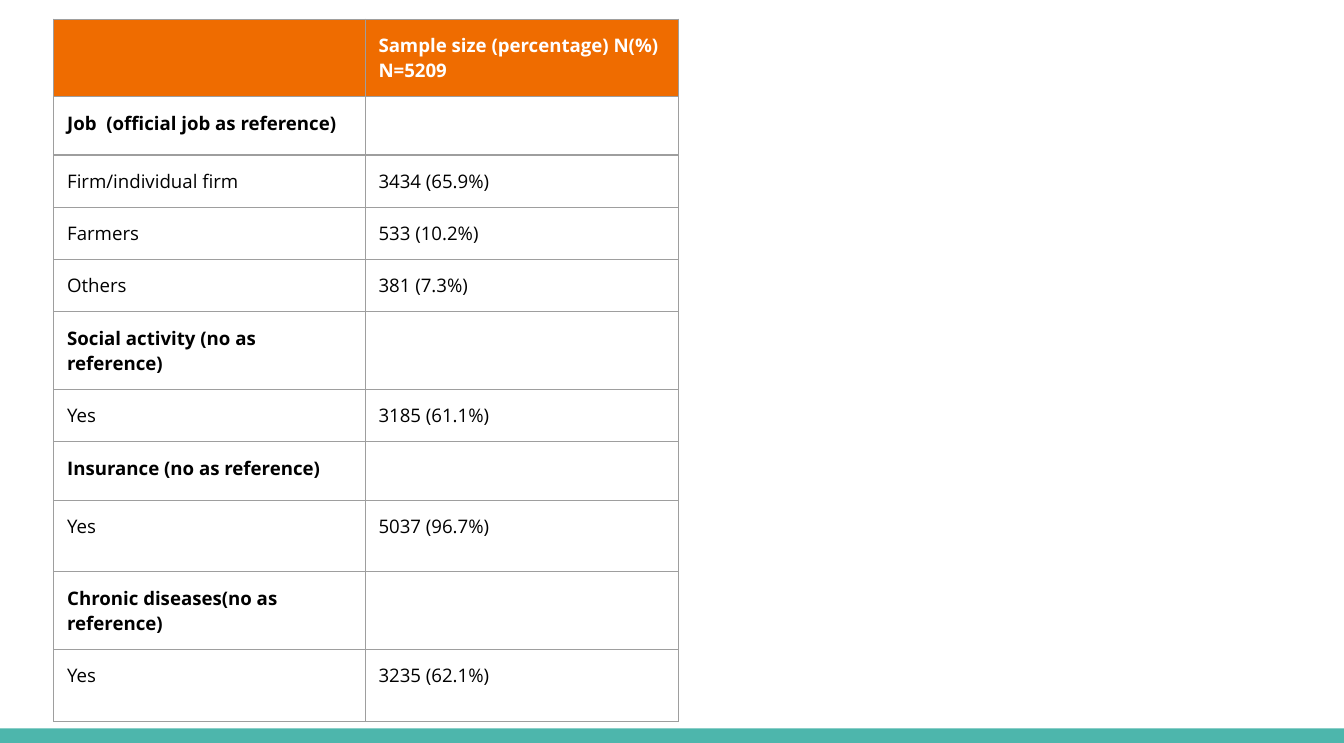
from lxml.etree import SubElement
from pptx import Presentation
from pptx.dml.color import RGBColor
from pptx.enum.shapes import MSO_SHAPE
from pptx.oxml.ns import qn
from pptx.util import Inches, Pt

ORANGE, TEAL, GREY, BLACK, WHITE = "EF6C00", "4DB6AC", "9E9E9E", "000000", "FFFFFF"
HEADER = ("", "Sample size (percentage) N(%)\nN=5209")
# label, value, row height; a row without a value is a section heading
ROWS = [
    ("Job  (official job as reference)", "", 0.52),
    ("Firm/individual firm", "3434 (65.9%)", 0.46),
    ("Farmers", "533 (10.2%)", 0.46),
    ("Others", "381 (7.3%)", 0.46),
    ("Social activity (no as reference)", "", 0.69),
    ("Yes", "3185 (61.1%)", 0.46),
    ("Insurance (no as reference)", "", 0.52),
    ("Yes", "5037 (96.7%)", 0.64),
    ("Chronic diseases(no as reference)", "", 0.69),
    ("Yes", "3235 (62.1%)", 0.64),
]
HEADER_HEIGHT = 0.69
COL_WIDTHS = (2.78, 2.8)


def rgb(color):
    return RGBColor.from_string(color)


def add_borders(cell, color=GREY, width=0.75):
    """Outline the cell; must run before its fill is set, as lines come first."""
    tcPr = cell._tc.get_or_add_tcPr()
    for side in ("lnL", "lnR", "lnT", "lnB"):
        ln = SubElement(tcPr, qn(f"a:{side}"), w=str(Pt(width)))
        SubElement(SubElement(ln, qn("a:solidFill")), qn("a:srgbClr"), val=color)


def write(cell, text, size=12, color=BLACK, bold=False, inset=0.12):
    cell.margin_left = cell.margin_right = Inches(inset)
    cell.margin_top = cell.margin_bottom = Inches(inset)
    tf = cell.text_frame
    for i, line in enumerate(text.split("\n")):
        p = tf.add_paragraph() if i else tf.paragraphs[0]
        r = p.add_run()
        r.text = line
        r.font.name, r.font.size, r.font.bold = "Open Sans", Pt(size), bold
        r.font.color.rgb = rgb(color)


def format_cell(cell, text, fill=None, **text_format):
    add_borders(cell)
    if fill:
        cell.fill.solid()
        cell.fill.fore_color.rgb = rgb(fill)
    else:
        cell.fill.background()
    if text:
        write(cell, text, **text_format)


prs = Presentation()
prs.slide_width, prs.slide_height = Inches(12), Inches(6.63)
s = prs.slides.add_slide(prs.slide_layouts[6])

bar = s.shapes.add_shape(MSO_SHAPE.RECTANGLE, 0, Inches(6.5), prs.slide_width, Inches(0.13))
bar.shadow.inherit = False
bar.fill.solid()
bar.fill.fore_color.rgb = rgb(TEAL)
bar.line.fill.background()

heights = [HEADER_HEIGHT] + [height for _, _, height in ROWS]
table = s.shapes.add_table(len(heights), len(COL_WIDTHS), Inches(0.48), Inches(0.17),
                           Inches(sum(COL_WIDTHS)), Inches(sum(heights))).table
table.horz_banding = table.first_row = False
for column, width in zip(table.columns, COL_WIDTHS):
    column.width = Inches(width)
for row, height in zip(table.rows, heights):
    row.height = Inches(height)

for c, text in enumerate(HEADER):
    format_cell(table.cell(0, c), text, fill=ORANGE, color=WHITE, bold=True)
for r, (label, value, _) in enumerate(ROWS, start=1):
    format_cell(table.cell(r, 0), label, bold=not value)
    format_cell(table.cell(r, 1), value)

prs.save("out.pptx")
